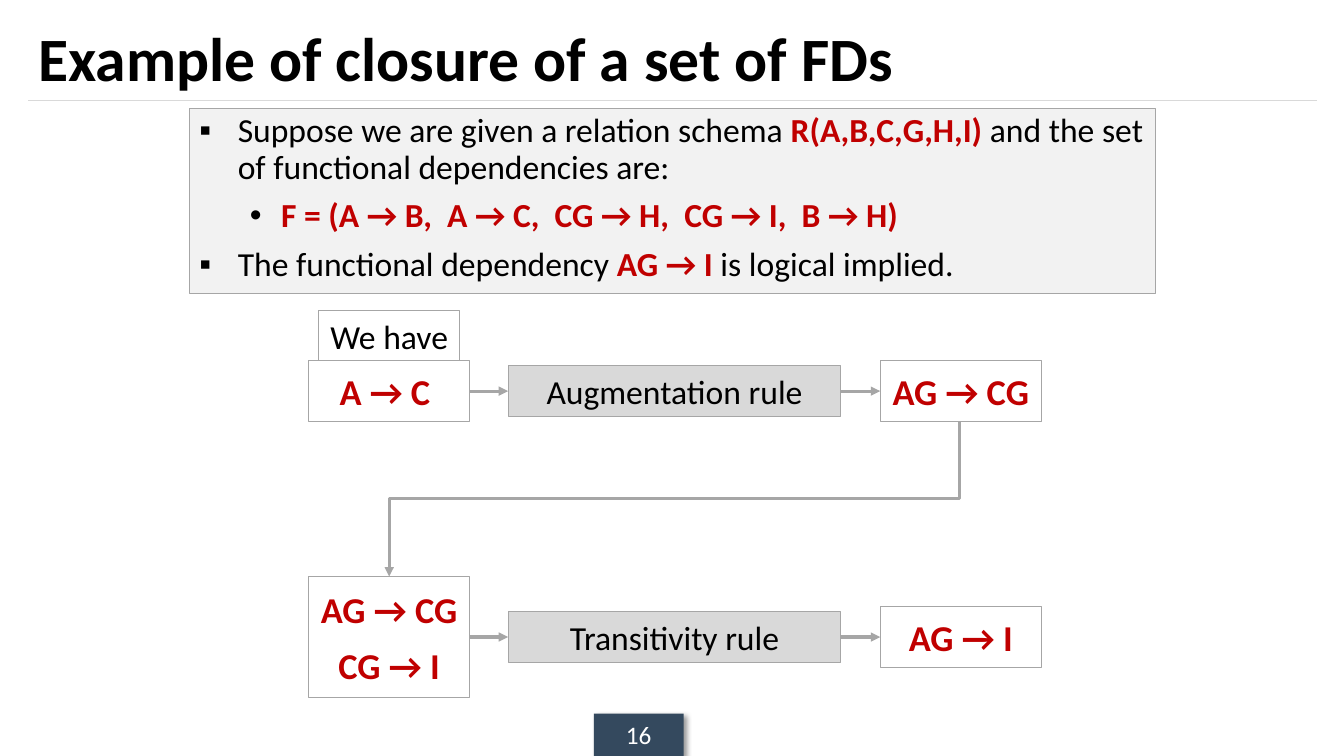
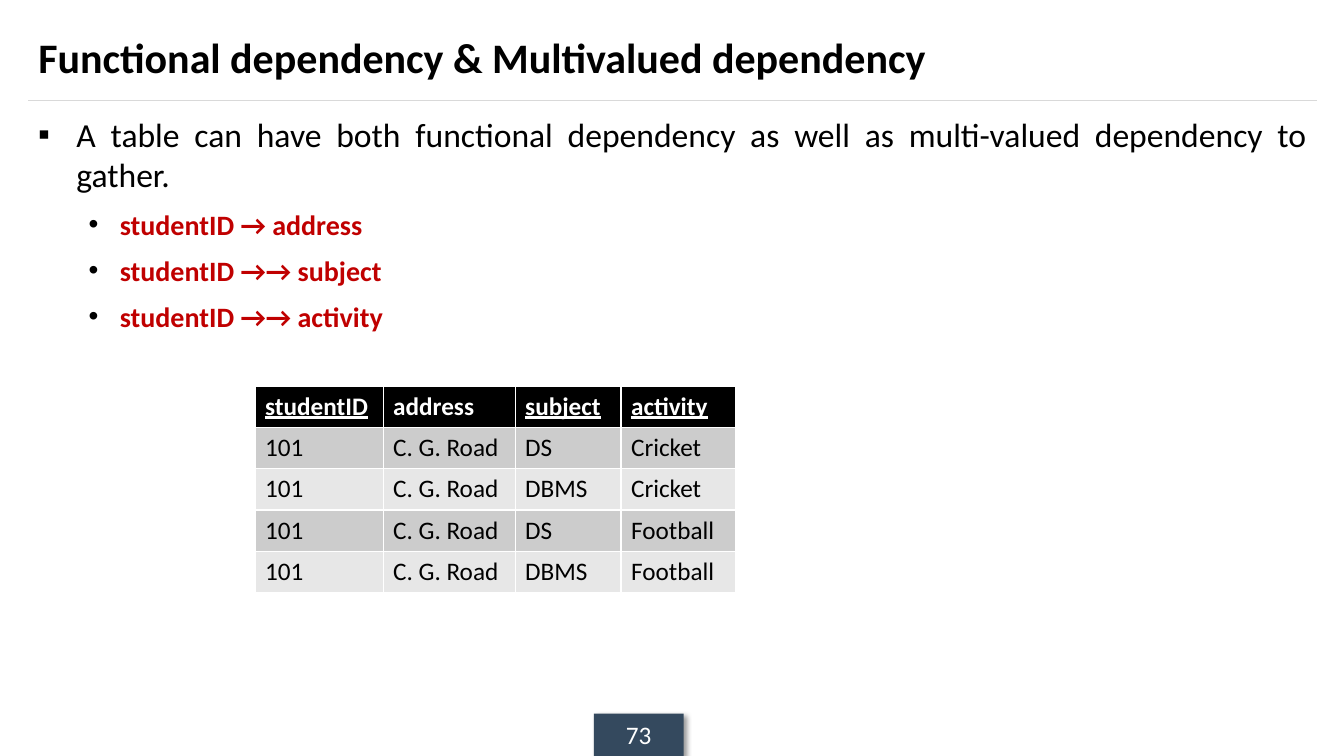
from itertools import pairwise

from lxml.etree import SubElement
from pptx import Presentation
from pptx.dml.color import RGBColor
from pptx.enum.shapes import MSO_CONNECTOR, MSO_SHAPE
from pptx.enum.text import MSO_ANCHOR, MSO_AUTO_SIZE, PP_ALIGN
from pptx.oxml.ns import qn
from pptx.util import Pt

PX = 9144
FONT = "Calibri"
BLACK, WHITE, RED, GRAY = "000000", "FFFFFF", "C00000", "A6A6A6"
DIVIDER, BADGE, PANEL, RULE = "D9D9D9", "34495E", "F2F2F2", "D9D9D9"
BULLETS = [("▪", 38, -38), ("•", 81, -31)]
color = RGBColor.from_string


def add_box(slide, area, text, size, text_color=BLACK, bold=False, fill=None, line=None):
    box = slide.shapes.add_shape(MSO_SHAPE.RECTANGLE, *[value * PX for value in area])
    box.shadow.inherit = False
    if fill:
        box.fill.solid()
        box.fill.fore_color.rgb = color(fill)
    else:
        box.fill.background()
    if line:
        box.line.color.rgb = color(line)
        box.line.width = Pt(0.75)
    else:
        box.line.fill.background()
    box.text_frame.text = text
    box.text_frame.vertical_anchor = MSO_ANCHOR.MIDDLE
    for paragraph in box.text_frame.paragraphs:
        paragraph.alignment = PP_ALIGN.CENTER
        if bold:
            paragraph.space_before = Pt(9)
        font = paragraph.runs[0].font
        font.name, font.size, font.bold = FONT, Pt(size), bold
        font.color.rgb = color(text_color)
    return box


def add_line(slide, kind, ends, line_color, width, arrow=False):
    connector = slide.shapes.add_connector(kind, *[value * PX for value in ends])
    connector.line.color.rgb = color(line_color)
    connector.line.width = Pt(width)
    if arrow:
        SubElement(connector.line._get_or_add_ln(), qn("a:tailEnd"), type="triangle")
    SubElement(connector._element.spPr, qn("a:effectLst"))
    return connector


presentation = Presentation()
presentation.slide_width = 1333 * PX
presentation.slide_height = 750 * PX

pages = [
    {
        "number": "16",
        "title": "Example of closure of a set of FDs",
        "title_size": 44,
        "area": (188, 108, 958, 183),
        "panel": True,
        "align": PP_ALIGN.LEFT,
        "spacing": 0.9,
        "lines": [
            (0, 24, "Suppose we are given a relation schema |R(A,B,C,G,H,I)| and the set of functional dependencies are:"),
            (1, 24, "|F = (A → B,  A → C,  CG → H,  CG → I,  B → H)"),
            (0, 24, "The functional dependency |AG → I| is logical implied."),
        ],
    },
    {
        "number": "73",
        "title": "Functional dependency & Multivalued dependency",
        "title_size": 30,
        "area": (28, 108, 1278, 583),
        "panel": False,
        "align": PP_ALIGN.JUSTIFY,
        "spacing": 1.0,
        "lines": [
            (0, 24, "A table can have both functional dependency as well as multi-valued dependency to gather."),
            (1, 20, "|studentID → address"),
            (1, 20, "|studentID →→ subject"),
            (1, 20, "|studentID →→ activity"),
        ],
    },
]

slides = []
for page in pages:
    slide = presentation.slides.add_slide(presentation.slide_layouts[5])
    slides.append(slide)
    add_line(slide, MSO_CONNECTOR.STRAIGHT, (28, 100, 1306, 100), DIVIDER, 0.75)
    badge = add_box(slide, (589, 708, 89, 42), page["number"], 18, WHITE, fill=BADGE)
    effects = badge._element.spPr.find(qn("a:effectLst"))
    shadow = SubElement(effects, qn("a:outerShdw"), blurRad="50800", dist="38100", dir="2700000")
    SubElement(SubElement(shadow, qn("a:srgbClr"), val=BLACK), qn("a:alpha"), val="40000")

    title = slide.shapes.title
    title.left, title.top, title.width, title.height = [value * PX for value in (28, 12, 1278, 88)]
    title.text_frame.text = page["title"]
    title.text_frame.auto_size = MSO_AUTO_SIZE.NONE
    title.text_frame.vertical_anchor = MSO_ANCHOR.MIDDLE
    paragraph = title.text_frame.paragraphs[0]
    paragraph.alignment = PP_ALIGN.LEFT
    font = paragraph.runs[0].font
    font.name, font.size, font.bold = FONT, Pt(page["title_size"]), True
    font.color.rgb = color(BLACK)

    body = slide.shapes.add_textbox(*[value * PX for value in page["area"]])
    if page["panel"]:
        body.fill.solid()
        body.fill.fore_color.rgb = color(PANEL)
        body.line.color.rgb = color(GRAY)
        body.line.width = Pt(0.75)
    frame = body.text_frame
    frame.word_wrap = True
    for index, (level, size, text) in enumerate(page["lines"]):
        paragraph = frame.add_paragraph() if index else frame.paragraphs[0]
        paragraph.level = level
        paragraph.alignment = page["align"]
        paragraph.line_spacing = page["spacing"]
        paragraph.space_before = Pt(9)
        bullet, margin, indent = BULLETS[level]
        properties = paragraph._p.get_or_add_pPr()
        properties.set("marL", str(margin * PX))
        properties.set("indent", str(indent * PX))
        SubElement(SubElement(properties, qn("a:buClr")), qn("a:srgbClr"), val=BLACK)
        SubElement(properties, qn("a:buFont"), typeface="Arial")
        SubElement(properties, qn("a:buChar"), char=bullet)
        for part, words in enumerate(text.split("|")):
            if words:
                highlighted = part % 2 == 1
                run = paragraph.add_run()
                run.text = words
                run.font.name, run.font.size, run.font.bold = FONT, Pt(size), highlighted
                run.font.color.rgb = color(RED if highlighted else BLACK)

closure_slide, dependency_slide = slides

flow_rows = [
    (388, 60, "A → C ", "Augmentation rule", "AG → CG"),
    (632, 120, "AG → CG \nCG → I", "Transitivity rule", "AG → I"),
]
for center, given_height, given, rule, result in flow_rows:
    boxes = [
        add_box(closure_slide, (306, center - given_height // 2, 160, given_height), given, 26, RED, True, line=GRAY),
        add_box(closure_slide, (504, center - 25, 330, 50), rule, 24, fill=RULE, line=GRAY),
        add_box(closure_slide, (873, center - 30, 160, 60), result, 26, RED, True, line=GRAY),
    ]
    for source, target in pairwise(boxes):
        arrow = add_line(closure_slide, MSO_CONNECTOR.STRAIGHT, (0, 0, 0, 0), GRAY, 2.25, True)
        arrow.begin_connect(source, 3)
        arrow.end_connect(target, 1)
add_box(closure_slide, (316, 308, 140, 50), "We have", 24, line=GRAY)

start_x, start_y, end_x, end_y = 953, 418, 386, 572
middle_x, middle_y = (start_x + end_x) // 2, (start_y + end_y) // 2
half_drop, half_run = (end_y - start_y) // 2, (start_x - end_x) // 2
elbow_ends = (middle_x - half_drop, middle_y - half_run, middle_x + half_drop, middle_y + half_run)
elbow = add_line(closure_slide, MSO_CONNECTOR.ELBOW, elbow_ends, GRAY, 2.25, True)
elbow._element.spPr.xfrm.set("rot", "5400000")

records = [
    ("studentID", "address", "subject", "activity"),
    ("101", "C. G. Road", "DS", "Cricket"),
    ("101", "C. G. Road", "DBMS", "Cricket"),
    ("101", "C. G. Road", "DS", "Football"),
    ("101", "C. G. Road", "DBMS", "Football"),
]
key_columns = {"studentID", "subject", "activity"}
column_widths = [127, 131, 105, 114]
row_height = 41
table_area = (253, 383, sum(column_widths), row_height * len(records))
table = dependency_slide.shapes.add_table(
    len(records), len(column_widths), *[value * PX for value in table_area]
).table
for column, width in zip(table.columns, column_widths):
    column.width = width * PX
for row_index, record in enumerate(records):
    header = row_index == 0
    row_fill = BLACK if header else ("E7E7E7", "CCCCCC")[row_index % 2]
    for column_index, value in enumerate(record):
        cell = table.cell(row_index, column_index)
        cell.fill.solid()
        cell.fill.fore_color.rgb = color(row_fill)
        cell.text_frame.text = value
        font = cell.text_frame.paragraphs[0].runs[0].font
        font.name, font.size, font.bold = FONT, Pt(18), header
        font.underline = header and value in key_columns
        font.color.rgb = color(WHITE if header else BLACK)

presentation.save("out.pptx")
